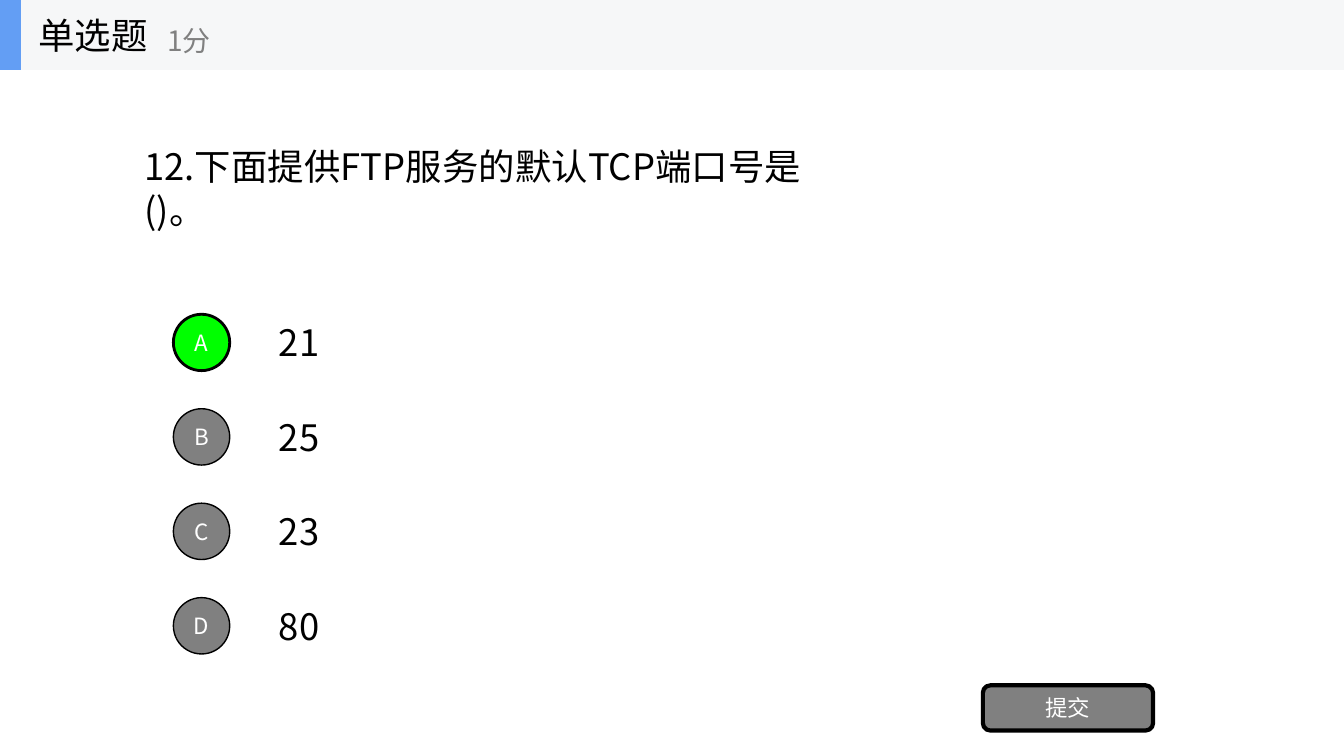
import pptx
import pptx.dml.color
import pptx.enum.shapes
import pptx.enum.text
import pptx.util
from dataclasses import dataclass
from lxml import etree
from pptx.oxml.ns import qn

Cm = pptx.util.Cm
Pt = pptx.util.Pt
Shape = pptx.enum.shapes.MSO_SHAPE
Align = pptx.enum.text.PP_ALIGN
Anchor = pptx.enum.text.MSO_ANCHOR
AutoSize = pptx.enum.text.MSO_AUTO_SIZE


@dataclass(frozen=True)
class Theme:
    font: str = "Noto Sans CJK SC"
    ink: str = "000000"
    muted: str = "808080"
    light: str = "FFFFFF"
    correct: str = "00FF00"
    band: str = "F6F7F8"
    accent: str = "639EF4"
    body_size: int = 26
    score_size: int = 20
    button_size: int = 16


def rgb(value):
    return pptx.dml.color.RGBColor.from_string(value)


class QuizSlide:
    def __init__(self, presentation, theme):
        self.theme = theme
        self.slide = presentation.slides.add_slide(presentation.slide_layouts[5])

    def set_text(self, shape, text, size, color, align=Align.LEFT, auto_size=AutoSize.NONE):
        frame = shape.text_frame
        frame.text = text
        frame_format = {
            "word_wrap": True,
            "auto_size": auto_size,
            "vertical_anchor": Anchor.MIDDLE,
        }
        for name, value in frame_format.items():
            setattr(frame, name, value)
        paragraph = frame.paragraphs[0]
        paragraph.alignment = align
        font = paragraph.runs[0].font
        for name, value in {"name": self.theme.font, "size": Pt(size)}.items():
            setattr(font, name, value)
        font.color.rgb = rgb(color)
        # Chinese characters take their typeface from a:ea
        latin = font._element.find(qn("a:latin"))
        east_asian = etree.Element(qn("a:ea"), typeface=self.theme.font)
        latin.addnext(east_asian)

    def title(self, text, left, top, width, height):
        shape = self.slide.shapes.title
        place = {"left": left, "top": top, "width": width, "height": height}
        for name, value in place.items():
            setattr(shape, name, Cm(value))
        self.set_text(shape, text, self.theme.body_size, self.theme.ink)
        # Bring the title in front of the header band
        self.slide.shapes._spTree.append(shape._element)

    def text(self, text, left, top, width, height, size, color, auto_size=AutoSize.NONE):
        box = self.slide.shapes.add_textbox(Cm(left), Cm(top), Cm(width), Cm(height))
        self.set_text(box, text, size, color, auto_size=auto_size)

    def shape(self, kind, left, top, width, height, fill, line_width=0):
        shape = self.slide.shapes.add_shape(
            kind, Cm(left), Cm(top), Cm(width), Cm(height))
        shape.shadow.inherit = False
        shape.fill.solid()
        shape.fill.fore_color.rgb = rgb(fill)
        if line_width:
            shape.line.color.rgb = rgb(self.theme.ink)
            shape.line.width = Pt(line_width)
        else:
            shape.line.fill.background()
        return shape

    def button(self, text, kind, left, top, width, height, fill, line_width):
        shape = self.shape(kind, left, top, width, height, fill, line_width)
        self.set_text(shape, text, self.theme.button_size, self.theme.light, Align.CENTER)

    def option(self, letter, answer, top, correct):
        """Draw one lettered circle with its answer beside it."""
        theme = self.theme
        self.text(answer, 6.78, top + 0.03, 1.57, 1.35, theme.body_size, theme.ink,
                  AutoSize.SHAPE_TO_FIT_TEXT)
        fill, line_width = (theme.correct, 2) if correct else (theme.muted, 1)
        self.button(letter, Shape.OVAL, 4.37, top, 1.42, 1.42, fill, line_width)


def main():
    presentation = pptx.Presentation()
    presentation.slide_width = Cm(33.87)
    presentation.slide_height = Cm(19.05)
    theme = Theme()
    quiz = QuizSlide(presentation, theme)

    quiz.text("12.下面提供FTP服务的默认TCP端口号是()。", 3.39, 4.06, 18.49, 1.35,
              theme.body_size, theme.ink, AutoSize.SHAPE_TO_FIT_TEXT)
    first_top, pitch = 7.92, 2.38
    for index, (letter, answer) in enumerate(zip("ABCD", ["21", "25", "23", "80"])):
        quiz.option(letter, answer, first_top + index * pitch, letter == "A")
    quiz.button("提交", Shape.ROUNDED_RECTANGLE, 24.77, 17.27, 4.29, 1.14, theme.muted, 3)

    header_height = 1.76
    quiz.shape(Shape.RECTANGLE, 0, 0, 33.87, header_height, theme.band)
    quiz.shape(Shape.RECTANGLE, 0, 0, 0.53, header_height, theme.accent)
    quiz.title("单选题", 0.71, 0, 5.28, header_height)
    quiz.text("1分", 3.96, 0.3, 6.35, 1.42, theme.score_size, theme.muted)

    presentation.save("out.pptx")


if __name__ == "__main__":
    main()
